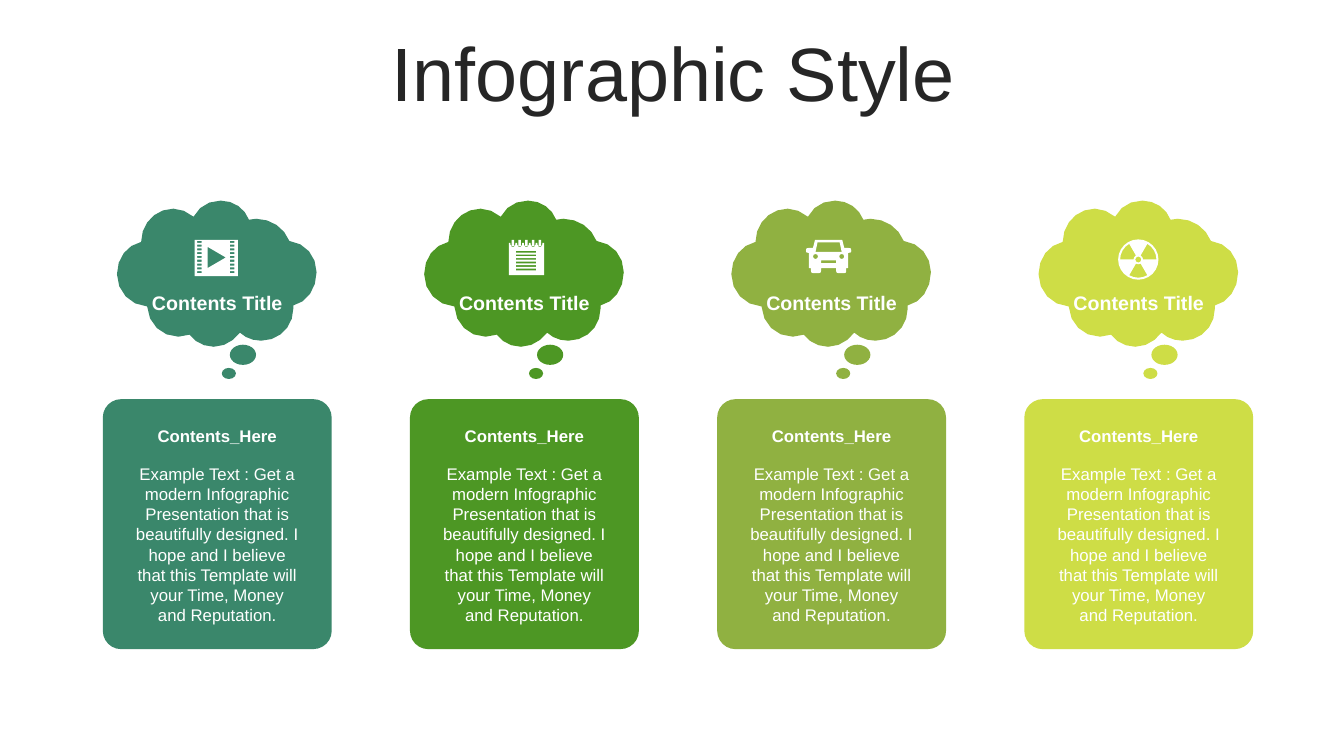
"""Build an infographic slide of four thought clouds above four cards."""
import math
from dataclasses import dataclass

from pptx import Presentation
from pptx import util as u
from pptx.dml.color import RGBColor
from pptx.enum import shapes, text


@dataclass(frozen=True)
class Theme:
    """Colours, font and type sizes of the slide."""
    cards: tuple = ("3A876B", "4D9724", "90B141", "CEDD46")
    ink: str = "262626"
    light: str = "FFFFFF"
    font: str = "Arial"
    title: int = 54
    heading: int = 14
    body: int = 12


@dataclass(frozen=True)
class Grid:
    """Slide size, card columns and rows, in inches."""
    width: float = 13.33
    height: float = 7.5
    first: float = 1.02
    last: float = 10.16
    card: float = 2.27
    inset: float = 0.22
    cloud_row: float = 1.99
    icon_row: float = 2.38
    heading_row: float = 2.84
    card_row: float = 3.96
    label_row: float = 4.17
    body_row: float = 4.55

    def column(self, i):
        """Return the left edge of card i."""
        return self.first + i * (self.last - self.first) / (len(THEME.cards) - 1)


THEME = Theme()
GRID = Grid()
BODY = ("Example Text : Get a modern Infographic Presentation that is beautifully "
        "designed. I hope and I believe that this Template will your Time, Money "
        "and Reputation.")
CLOUD = [
    (103, 0), (116, 0, 127, 8, 131, 19), (138, 18),
    (153, 18, 166, 27, 171, 40), (187, 42, 198, 55, 198, 71),
    (198, 88, 188, 101, 175, 104), (175, 107),
    (175, 125, 161, 139, 143, 139), (135, 139, 127, 136, 122, 131),
    (116, 139, 107, 145, 96, 145), (86, 145, 77, 140, 72, 133), (61, 135),
    (44, 135, 31, 122, 30, 105), (13, 104, 0, 90, 0, 73),
    (0, 57, 10, 44, 24, 41), (24, 23, 38, 8, 56, 8),
    (63, 8, 70, 11, 76, 16), (81, 6, 91, 0, 103, 0),
]
CAR_HALF = [
    (36, 0), (38, 8), (42, 8), (44.5, 8.5), (45, 11), (44.5, 12.5), (42, 13),
    (42, 28), (40, 28), (40, 31), (39.5, 32.5), (38, 33), (32, 33),
    (30.5, 32.5), (30, 31), (30, 28),
]


def flatten(steps, stride=11):
    """Turn line ends (2 numbers) and Bézier curves (6 numbers) into points."""
    points = []
    for step in steps:
        if len(step) == 2:
            points.append(step)
            continue
        curve = [points[-1], step[:2], step[2:4], step[4:]]
        count = math.ceil(math.dist(curve[0], curve[3]) / stride)
        for t in (n / count for n in range(1, count + 1)):
            weights = [math.comb(3, k) * t**k * (1 - t)**(3 - k) for k in range(4)]
            points.append(tuple(sum(w * c[axis] for w, c in zip(weights, curve))
                                for axis in (0, 1)))
    return points


def arc(cx, cy, radius, start=0, end=360, count=8):
    """Return points along an arc, with angles in degrees."""
    angles = [math.radians(start + (end - start) * n / count) for n in range(count + 1)]
    return [(cx + radius * math.cos(a), cy + radius * math.sin(a)) for a in angles]


def rect(x, y, w, h):
    """Return the corners of a rectangle."""
    return [(x, y), (x + w, y), (x + w, y + h), (x, y + h)]


def film_icon():
    """Return the contours of a film frame with a play mark."""
    holes = [rect(x, 1 + 3.75 * row, 4.5, 2) for row in range(9) for x in (2.5, 35)]
    return [rect(0, 0, 43, 36), [(13, 7), (13, 28), (31, 17.5)], *holes]


def notepad_icon():
    """Return the contours of a ring-bound notepad."""
    rings = [4 + 6.7 * n for n in range(5)]
    page = [(0, 3)]
    for x in rings:
        page += [(x - 2.5, 3), *arc(x, 4.5, 2.5, 180, 0, 3), (x + 2.5, 3)]
    page += [(35, 3), (35, 35), (0, 35)]
    loops = [rect(x - 1.2, 0, 2.4, 6) for x in rings]
    lines = [rect(7, 11 + 3.5 * n, 20, 1.7) for n in range(6)]
    return [page, *loops, *lines]


def car_icon():
    """Return the contours of a car seen from the front."""
    body = CAR_HALF + [(45 - x, y) for x, y in reversed(CAR_HALF)]
    lamps = [arc(x, 16.5, 2.5) for x in (9.5, 35.5)]
    return [body, [(11.5, 2.5), (9.5, 12), (35.5, 12), (33.5, 2.5)],
            rect(15, 20.5, 15, 2.5), *lamps]


def radiation_icon():
    """Return the contours of a radiation sign."""
    gaps = [arc(20, 19.5, 4.7, a, a + 60, 2) + arc(20, 19.5, 18, a + 60, a, 4)
            for a in (60, 180, 300)]
    return [arc(20, 19.5, 20, count=24), arc(20, 19.5, 3), *gaps]


def paint(sp, color):
    """Give a shape a flat fill without line or shadow."""
    sp.shadow.inherit = False
    sp.fill.solid()
    sp.fill.fore_color.rgb = RGBColor.from_string(color)
    sp.line.fill.background()
    return sp


def add_outline(parent, left, top, contours, color):
    """Draw contours given in hundredths of an inch as one shape."""
    placed = [[(u.Inches(left + x / 100), u.Inches(top + y / 100)) for x, y in c]
              for c in contours]
    builder = parent.build_freeform(*placed[0][0])
    builder.add_line_segments(placed[0][1:], close=True)
    for contour in placed[1:]:
        builder.move_to(*contour[0])
        builder.add_line_segments(contour[1:], close=True)
    return paint(builder.convert_to_shape(), color)


def add_preset(parent, kind, box, color):
    """Draw a filled preset shape."""
    return paint(parent.add_shape(kind, *map(u.Inches, box)), color)


def add_text(parent, content, box, *, size, color=THEME.light, bold=False,
             side=0.1, grow=True, anchor=text.MSO_ANCHOR.TOP, spacing=None):
    """Write one centred paragraph in a text box."""
    tf = parent.add_textbox(*map(u.Inches, box)).text_frame
    tf.word_wrap = True
    tf.auto_size = (text.MSO_AUTO_SIZE.SHAPE_TO_FIT_TEXT if grow
                    else text.MSO_AUTO_SIZE.NONE)
    tf.vertical_anchor = anchor
    tf.margin_left = tf.margin_right = u.Inches(side)
    p = tf.paragraphs[0]
    p.alignment = text.PP_ALIGN.CENTER
    p.line_spacing = spacing
    r = p.add_run()
    r.text = content
    r.font.name = THEME.font
    r.font.size = u.Pt(size)
    r.font.bold = bold
    r.font.color.rgb = RGBColor.from_string(color)


def add_cloud(slide, left, color):
    """Draw a thought cloud with its two trailing bubbles."""
    add_outline(slide.shapes, left + 0.14, GRID.cloud_row, [flatten(CLOUD)], color)
    for x, y, w, h in ((1.26, 3.42, 0.26, 0.2), (1.18, 3.65, 0.14, 0.11)):
        add_preset(slide.shapes, shapes.MSO_SHAPE.OVAL, (left + x, y, w, h), color)


def add_card(slide, left, color):
    """Draw a rounded card with its label and body text."""
    card = add_preset(slide.shapes, shapes.MSO_SHAPE.ROUNDED_RECTANGLE,
                      (left, GRID.card_row, GRID.card, 2.48), color)
    card.adjustments[0] = 0.08
    x, w = left + GRID.inset, GRID.card - 2 * GRID.inset
    for content, row, h, size, bold, side in (
            ("Contents Title", GRID.heading_row, 0.34, THEME.heading, True, 0.12),
            (BODY, GRID.body_row, 1.72, THEME.body, False, 0.1),
            ("Contents_Here", GRID.label_row, 0.3, THEME.body, True, 0.1)):
        add_text(slide.shapes, content, (x, row, w, h), size=size, bold=bold, side=side)


def main():
    """Build and save the slide."""
    prs = Presentation()
    prs.slide_width, prs.slide_height = u.Inches(GRID.width), u.Inches(GRID.height)
    slide = prs.slides.add_slide(prs.slide_layouts[6])
    add_text(slide.shapes, "Infographic Style", (0.35, 0.37, 12.66, 0.79),
             size=THEME.title, color=THEME.ink, grow=False,
             anchor=text.MSO_ANCHOR.MIDDLE, spacing=0.9)
    icons = ((0.91, film_icon()), (0.98, notepad_icon()),
             (0.88, car_icon()), (0.93, radiation_icon()))
    for i, (color, (shift, icon)) in enumerate(zip(THEME.cards, icons)):
        left = GRID.column(i)
        add_cloud(slide, left, color)
        add_card(slide, left, color)
        add_outline(slide.shapes, left + shift, GRID.icon_row, icon, THEME.light)
    prs.save("out.pptx")


if __name__ == "__main__":
    main()
